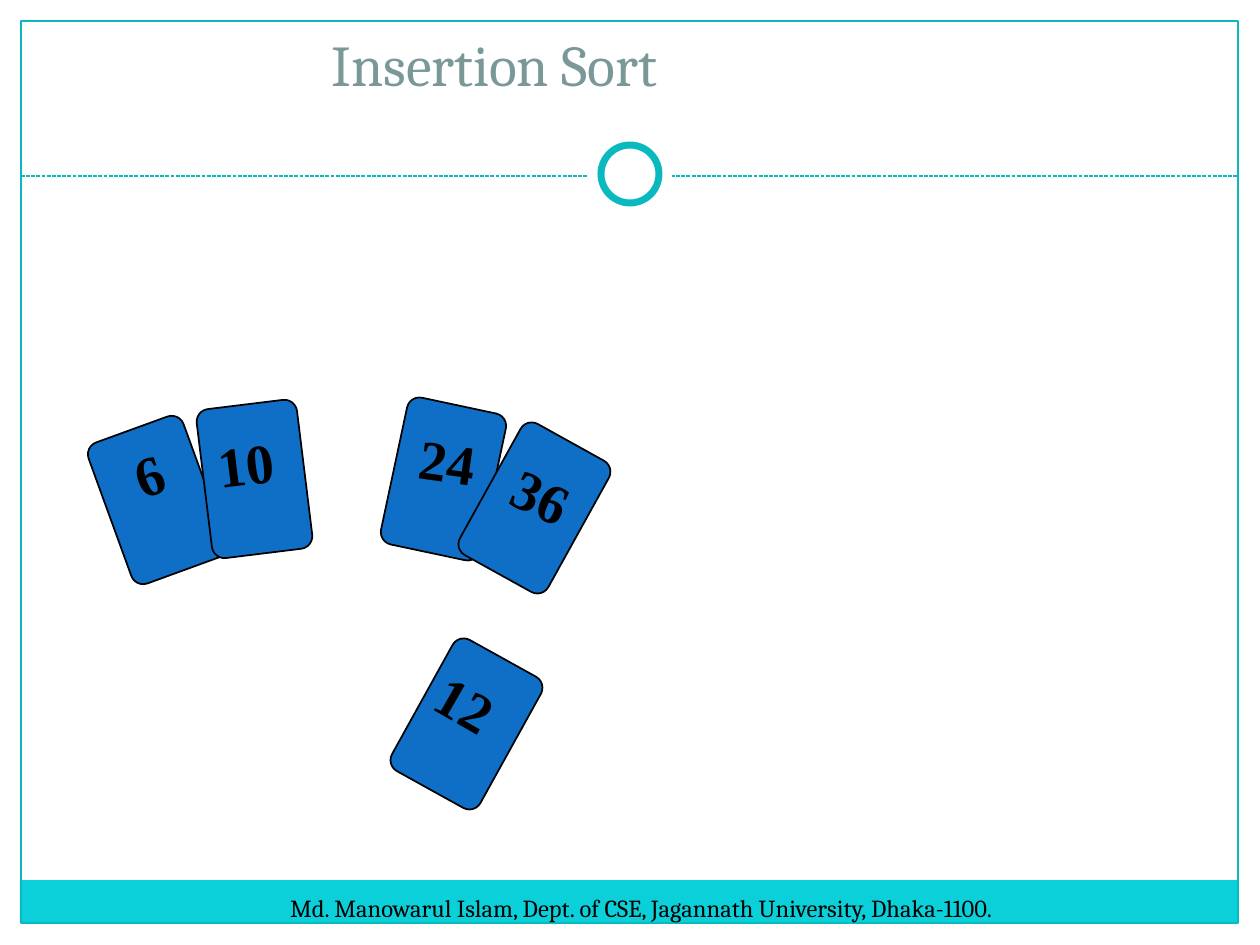
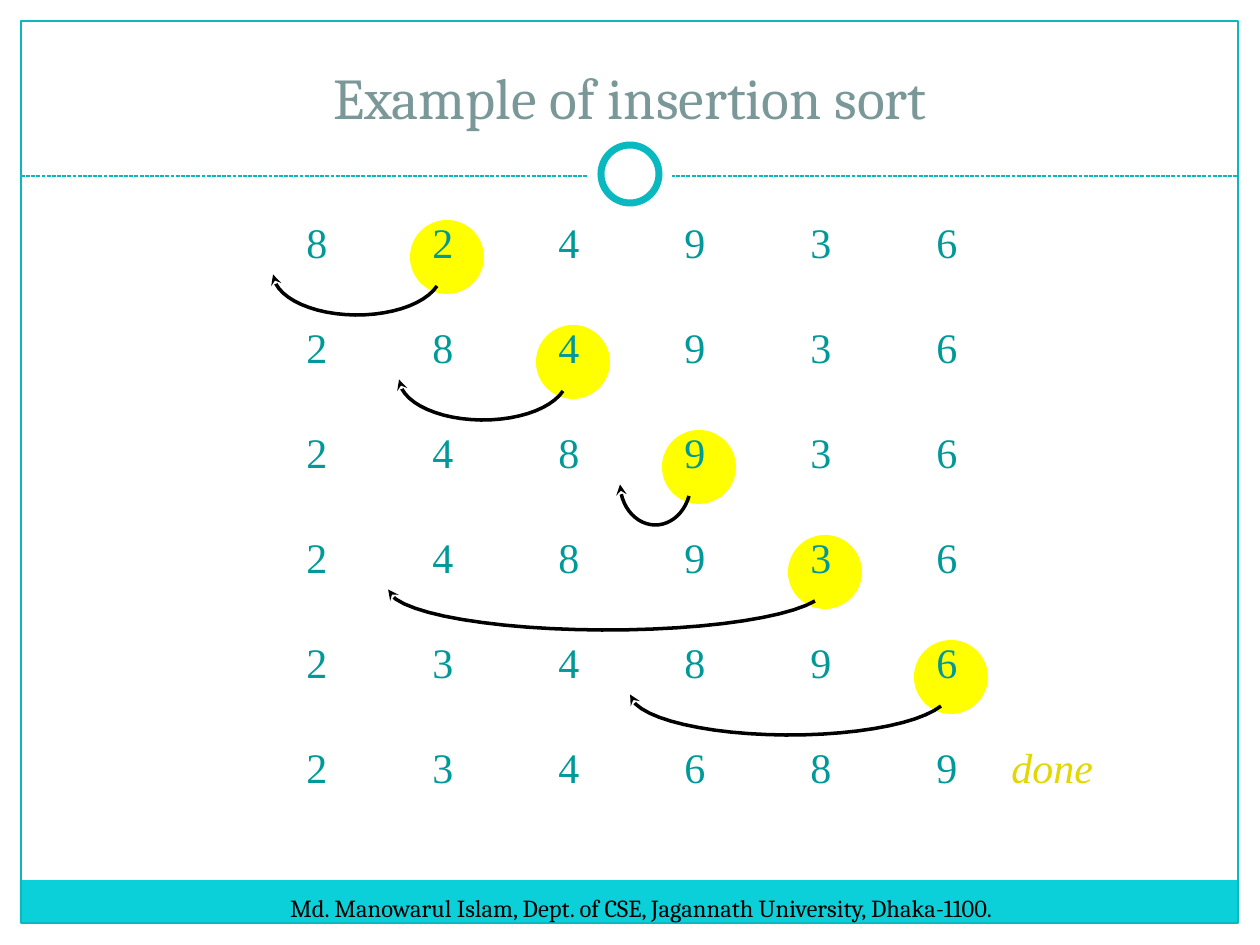
import math
from dataclasses import dataclass

import lxml.etree
import pptx
import pptx.dml.color
import pptx.enum.dml
import pptx.enum.shapes
import pptx.enum.text
import pptx.oxml.ns
import pptx.util

EMU_PER_PX = 914400 / 126
SHAPES = pptx.enum.shapes.MSO_SHAPE
ALIGN = pptx.enum.text.PP_ALIGN
ANCHOR = pptx.enum.text.MSO_ANCHOR
FIT = pptx.enum.text.MSO_AUTO_SIZE


@dataclass(frozen=True)
class Theme:
    white: str = "FFFFFF"
    black: str = "000000"
    band: str = "0BD0D9"
    frame: str = "0AB8BF"
    title: str = "7B9899"
    card: str = "0F6FC6"
    digit: str = "009999"
    highlight: str = "FFFF00"
    done: str = "E2D700"
    heading_font: str = "Cambria"
    number_font: str = "Times New Roman"
    title_size: int = 33
    card_size: int = 32
    digit_size: int = 24
    footer_size: int = 14


THEME = Theme()
FOOTER = "Md. Manowarul Islam, Dept. of CSE, Jagannath University, Dhaka-1100."

# Cards: value, left, top, rotation; then label left, top, width, rotation
CARDS = [
    ("6", (107, 425, 340), (122, 433, 57, 341)),
    ("10", (204, 404, 353), (205, 423, 88, 353)),
    ("24", (393, 404, 12), (407, 421, 88, 8)),
    ("36", (484, 433, 29), (501, 457, 88, 25)),
    ("12", (416, 649, 29), (425, 665, 88, 30)),
]
CARD_WIDTH, CARD_HEIGHT = 101, 150

# Sorting steps: the list, and where the arrow from the picked number ends
STEPS = [
    ("824936", 273),
    ("284936", 399),
    ("248936", 620),
    ("248936", 388),
    ("234896", 630),
    ("234689", None),
]
GRID_LEFT, GRID_TOP = 294, 210
COLUMN_STEP, ROW_STEP = 126, 105
DIGIT_WIDTH, LABEL_HEIGHT = 53, 79
ARC_START, ARC_END, ARC_POINTS = 18, 178, 24


def px(length):
    return pptx.util.Emu(round(length * EMU_PER_PX))


def rgb(color):
    return pptx.dml.color.RGBColor.from_string(color)


def paint(shape, fill=None, line=None, width=1):
    """Set fill and outline; None means neither is drawn."""
    shape.shadow.inherit = False
    if fill:
        shape.fill.solid()
        shape.fill.fore_color.rgb = rgb(fill)
    else:
        shape.fill.background()
    if line:
        shape.line.color.rgb = rgb(line)
        shape.line.width = pptx.util.Pt(width)
    else:
        shape.line.fill.background()


def write_text(shape, text, *, size, color, font, bold=False, italic=False,
               align=ALIGN.LEFT, anchor=ANCHOR.TOP, wrap=False,
               fit=FIT.SHAPE_TO_FIT_TEXT):
    frame = shape.text_frame
    frame.word_wrap = wrap
    frame.auto_size = fit
    frame.vertical_anchor = anchor
    paragraph = frame.paragraphs[0]
    paragraph.alignment = align
    run = paragraph.add_run()
    run.text = text
    run.font.size = pptx.util.Pt(size)
    run.font.name = font
    run.font.bold = bold
    run.font.italic = italic
    run.font.color.rgb = rgb(color)


def add_text(slide, box, text, **text_format):
    shape = slide.shapes.add_textbox(*map(px, box))
    write_text(shape, text, **text_format)
    return shape


def add_preset(slide, kind, box, **look):
    shape = slide.shapes.add_shape(kind, *map(px, box))
    paint(shape, **look)
    return shape


def add_divider(slide, left, right, y):
    line = slide.shapes.add_connector(
        pptx.enum.shapes.MSO_CONNECTOR.STRAIGHT, px(left), px(y), px(right), px(y))
    line.line.color.rgb = rgb(THEME.frame)
    line.line.width = pptx.util.Pt(0.75)
    line.line.dash_style = pptx.enum.dml.MSO_LINE.SQUARE_DOT
    lxml.etree.SubElement(line.element.spPr, pptx.oxml.ns.qn("a:effectLst"))


def add_frame(slide, layout):
    """Draw the shared frame, then move it to the layout."""
    for placeholder in list(layout.placeholders):
        if placeholder.placeholder_format.idx >= 10:
            placeholder.element.getparent().remove(placeholder.element)
    # White margins, footer band and border
    for box in [(0, 0, 1260, 191), (0, 0, 21, 945), (1239, 0, 21, 945)]:
        add_preset(slide, SHAPES.RECTANGLE, box, fill=THEME.white)
    add_preset(slide, SHAPES.RECTANGLE, (20, 880, 1218, 43), fill=THEME.band)
    add_preset(slide, SHAPES.RECTANGLE, (21, 21, 1217, 902), line=THEME.frame, width=0.75)
    # Divider with ring
    add_divider(slide, 21, 1239, 176)
    add_preset(slide, SHAPES.OVAL, (588, 132, 84, 84), fill=THEME.white)
    add_preset(slide, SHAPES.OVAL, (601, 145, 58, 58),
               fill=THEME.white, line=THEME.frame, width=4)
    add_text(slide, (48, 887, 1187, 43), FOOTER, size=THEME.footer_size,
             color=THEME.black, font=THEME.heading_font, align=ALIGN.CENTER, wrap=True)
    for shape in list(slide.shapes):
        if not shape.is_placeholder:
            layout.shapes.element.append(shape.element)


def set_title(slide, text, box):
    title = slide.shapes.title
    title.left, title.top, title.width, title.height = map(px, box)
    write_text(title, text, size=THEME.title_size, color=THEME.title,
               font=THEME.heading_font, align=ALIGN.CENTER, anchor=ANCHOR.BOTTOM,
               wrap=True, fit=FIT.NONE)


def add_cards(slide):
    for _, (left, top, rotation), _ in CARDS:
        card = add_preset(slide, SHAPES.ROUNDED_RECTANGLE,
                          (left, top, CARD_WIDTH, CARD_HEIGHT),
                          fill=THEME.card, line=THEME.black)
        card.adjustments[0] = 0.125
        card.rotation = rotation
    for value, _, (left, top, width, rotation) in CARDS:
        label = add_text(slide, (left, top, width, LABEL_HEIGHT), value, bold=True,
                         size=THEME.card_size, color=THEME.black, font=THEME.number_font)
        label.rotation = rotation


def add_move_arrow(slide, start_x, end_x, center_y):
    """Draw the lower part of an ellipse, ending in an arrowhead."""
    radius_x = (start_x - end_x) / (1 + math.cos(math.radians(ARC_START)))
    radius_y = 42
    points = []
    for index in range(ARC_POINTS + 1):
        angle = math.radians(ARC_START + (ARC_END - ARC_START) * index / ARC_POINTS)
        points.append((px(end_x + radius_x * (1 + math.cos(angle))),
                       px(center_y + radius_y * math.sin(angle))))
    builder = slide.shapes.build_freeform(*points[0])
    builder.add_line_segments(points[1:], close=False)
    arrow = builder.convert_to_shape()
    paint(arrow, line=THEME.black, width=2)
    outline = arrow.element.spPr.find(pptx.oxml.ns.qn("a:ln"))
    lxml.etree.SubElement(outline, pptx.oxml.ns.qn("a:tailEnd"), type="stealth")


def add_step(slide, row, numbers, arrow_end):
    top = GRID_TOP + row * ROW_STEP
    picked_left = GRID_LEFT + (row + 1) * COLUMN_STEP
    if arrow_end is not None:
        add_preset(slide, SHAPES.OVAL, (picked_left - 10, top + 10, 74, 74),
                   fill=THEME.highlight)
    for column, number in enumerate(numbers):
        add_text(slide, (GRID_LEFT + column * COLUMN_STEP, top, DIGIT_WIDTH, LABEL_HEIGHT),
                 number, size=THEME.digit_size, color=THEME.digit, font=THEME.number_font)
    if arrow_end is not None:
        add_move_arrow(slide, picked_left + 17, arrow_end, top + 63)


def main():
    presentation = pptx.Presentation()
    presentation.slide_width = px(1260)
    presentation.slide_height = px(945)
    layout = presentation.slide_layouts[5]

    # Slide 1: cards in hand
    slide = presentation.slides.add_slide(layout)
    add_frame(slide, layout)
    set_title(slide, "Insertion Sort", (47, 32, 895, 72))
    add_cards(slide)

    # Slide 2: worked example
    slide = presentation.slides.add_slide(layout)
    set_title(slide, "Example of insertion sort", (42, 32, 1176, 105))
    for row, (numbers, arrow_end) in enumerate(STEPS):
        add_step(slide, row, numbers, arrow_end)
    add_text(slide, (999, GRID_TOP + 5 * ROW_STEP, 135, LABEL_HEIGHT), "done", italic=True,
             size=THEME.digit_size, color=THEME.done, font=THEME.number_font)

    presentation.save("out.pptx")


if __name__ == "__main__":
    main()
